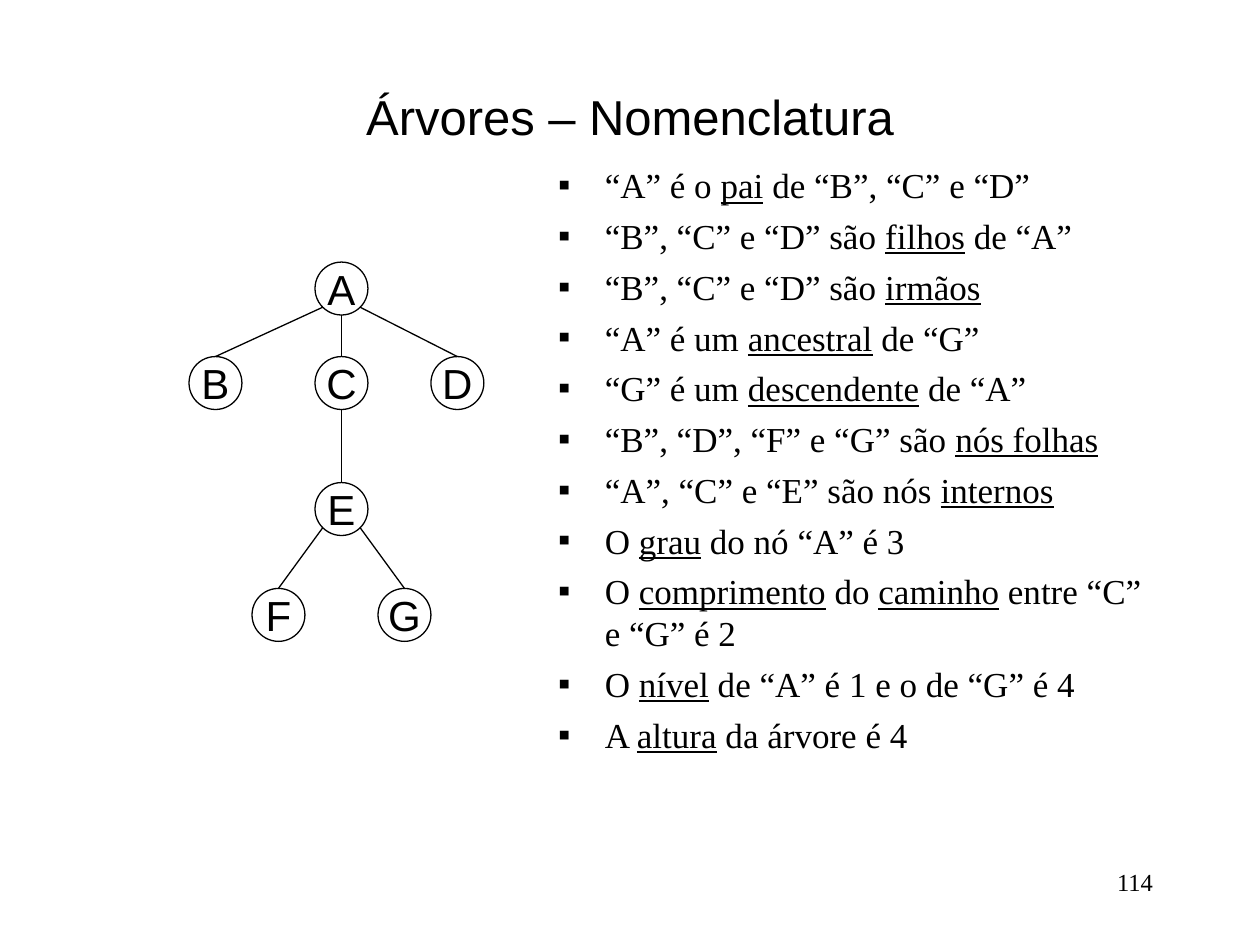
import math
from dataclasses import dataclass

import pptx
import pptx.dml.color
import pptx.enum.shapes
import pptx.enum.text
import pptx.oxml
import pptx.oxml.ns
import pptx.util
from lxml import etree
from pptx.util import Inches

COLORS = {"ink": "000000"}
SANS, SERIF = "Arial", "Times New Roman"
ALIGN = pptx.enum.text.PP_ALIGN
ANCHOR = pptx.enum.text.MSO_ANCHOR
DIAMETER = 0.42
INDENT = 0.37


@dataclass(frozen=True)
class Node:
    label: str
    left: float
    top: float
    parent: str = ""


TREE = [
    Node("A", 2.5, 2.08),
    Node("B", 1.5, 2.83, "A"),
    Node("C", 2.5, 2.83, "A"),
    Node("D", 3.42, 2.83, "A"),
    Node("E", 2.5, 3.83, "C"),
    Node("F", 2, 4.67, "E"),
    Node("G", 3, 4.67, "E"),
]

# Underscores enclose the underlined terms.
TERMS = [
    "“A” é o _pai_ de “B”, “C” e “D”",
    "“B”, “C” e “D” são _filhos_ de “A”",
    "“B”, “C” e “D” são _irmãos_",
    "“A” é um _ancestral_ de “G”",
    "“G” é um _descendente_ de “A”",
    "“B”, “D”, “F” e “G” são _nós folhas_",
    "“A”, “C” e “E” são nós _internos_",
    "O _grau_ do nó “A” é 3",
    "O _comprimento_ do _caminho_ entre “C” e “G” é 2",
    "O _nível_ de “A” é 1 e o de “G” é 4",
    "A _altura_ da árvore é 4",
]


def rgb(name: str) -> pptx.dml.color.RGBColor:
    return pptx.dml.color.RGBColor.from_string(COLORS[name])


def write(p, text: str, *, size: float, font: str, color: str = "ink", align=ALIGN.LEFT) -> None:
    """Fill a paragraph, underlining what stands between underscores."""
    p.alignment = align
    for i, part in enumerate(text.split("_")):
        if not part:
            continue
        r = p.add_run()
        r.text = part
        r.font.size = pptx.util.Pt(size)
        r.font.name = font
        r.font.color.rgb = rgb(color)
        if i % 2:
            r.font.underline = True


def place(s, left: float, top: float, width: float, height: float) -> None:
    s.left, s.top, s.width, s.height = map(Inches, (left, top, width, height))


def set_frame(tf, *, anchor=ANCHOR.TOP, wrap: bool = True) -> None:
    tf.auto_size = pptx.enum.text.MSO_AUTO_SIZE.NONE
    tf.vertical_anchor = anchor
    tf.word_wrap = wrap


def add_bullet(p) -> None:
    pPr = p._p.get_or_add_pPr()
    pPr.set("marL", str(Inches(INDENT)))
    pPr.set("indent", str(-Inches(INDENT)))
    ns = pptx.oxml.ns.nsdecls("a")
    for xml in (
        f'<a:buClr {ns}><a:srgbClr val="{COLORS["ink"]}"/></a:buClr>',
        f'<a:buFont {ns} typeface="{SERIF}"/>',
        f'<a:buChar {ns} char="▪"/>',
    ):
        pPr.append(pptx.oxml.parse_xml(xml))


def add_node(slide, node: Node):
    s = slide.shapes.add_shape(
        pptx.enum.shapes.MSO_SHAPE.OVAL,
        *map(Inches, (node.left, node.top, DIAMETER, DIAMETER)),
    )
    s.shadow.inherit = False
    s.fill.background()
    s.line.color.rgb = rgb("ink")
    s.line.width = pptx.util.Pt(0.75)
    set_frame(s.text_frame, anchor=ANCHOR.MIDDLE, wrap=False)
    write(s.text_frame.paragraphs[0], node.label, size=24, font=SANS, align=ALIGN.CENTER)
    return s


def add_edge(slide, parent: Node, child: Node, child_shape) -> None:
    """Join the parent's lower rim, at 45 degrees or straight down, to the child's top."""
    radius = DIAMETER / 2
    side = (child.left > parent.left) - (child.left < parent.left)
    angle = math.radians(45 * side)
    x = parent.left + radius + radius * math.sin(angle)
    y = parent.top + radius + radius * math.cos(angle)
    line = slide.shapes.add_connector(
        pptx.enum.shapes.MSO_CONNECTOR.STRAIGHT,
        *map(Inches, (x, y, child.left + radius, child.top)),
    )
    line.end_connect(child_shape, 0)
    line.line.color.rgb = rgb("ink")
    line.line.width = pptx.util.Pt(0.75)
    etree.SubElement(line._element.spPr, pptx.oxml.ns.qn("a:effectLst"))


def main() -> None:
    prs = pptx.Presentation()
    prs.slide_width, prs.slide_height = Inches(10), Inches(7.5)
    slide = prs.slides.add_slide(prs.slide_layouts[1])

    title = slide.shapes.title
    place(title, 0.75, 0.67, 8.5, 0.5)
    set_frame(title.text_frame, anchor=ANCHOR.MIDDLE)
    write(title.text_frame.paragraphs[0], "Árvores – Nomenclatura",
          size=28, font=SANS, align=ALIGN.CENTER)

    body = slide.placeholders[1]
    place(body, 4.33, 1.25, 4.92, 5.42)
    tf = body.text_frame
    set_frame(tf)
    for i, term in enumerate(TERMS):
        p = tf.add_paragraph() if i else tf.paragraphs[0]
        add_bullet(p)
        p.space_before = pptx.util.Pt(5 if i else 0)
        p.line_spacing = pptx.util.Pt(24)
        write(p, term, size=20, font=SERIF)

    nodes = {node.label: node for node in TREE}
    for node in TREE:
        s = add_node(slide, node)
        if node.parent:
            add_edge(slide, nodes[node.parent], node, s)

    number = slide.shapes.add_textbox(*map(Inches, (7.17, 6.83, 2.08, 0.5)))
    set_frame(number.text_frame)
    write(number.text_frame.paragraphs[0], "114", size=14, font=SERIF, align=ALIGN.RIGHT)

    prs.save("out.pptx")


if __name__ == "__main__":
    main()
